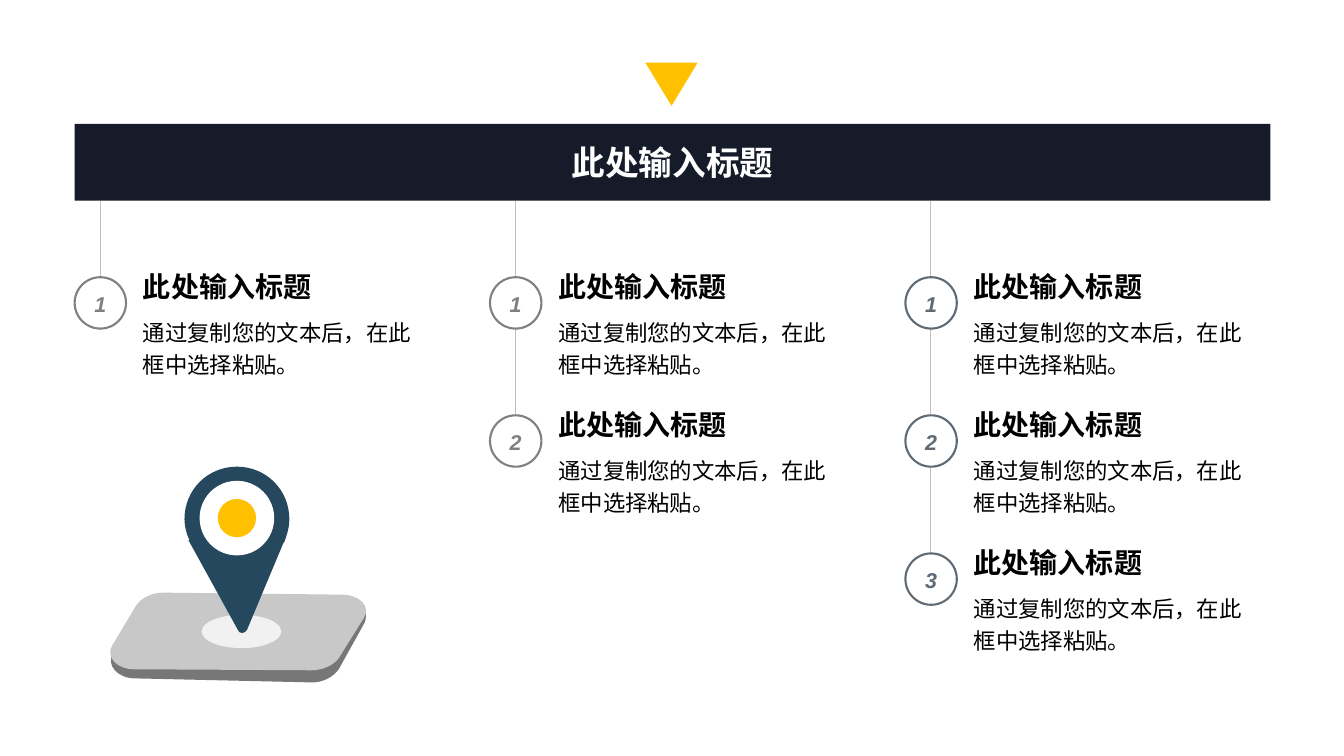
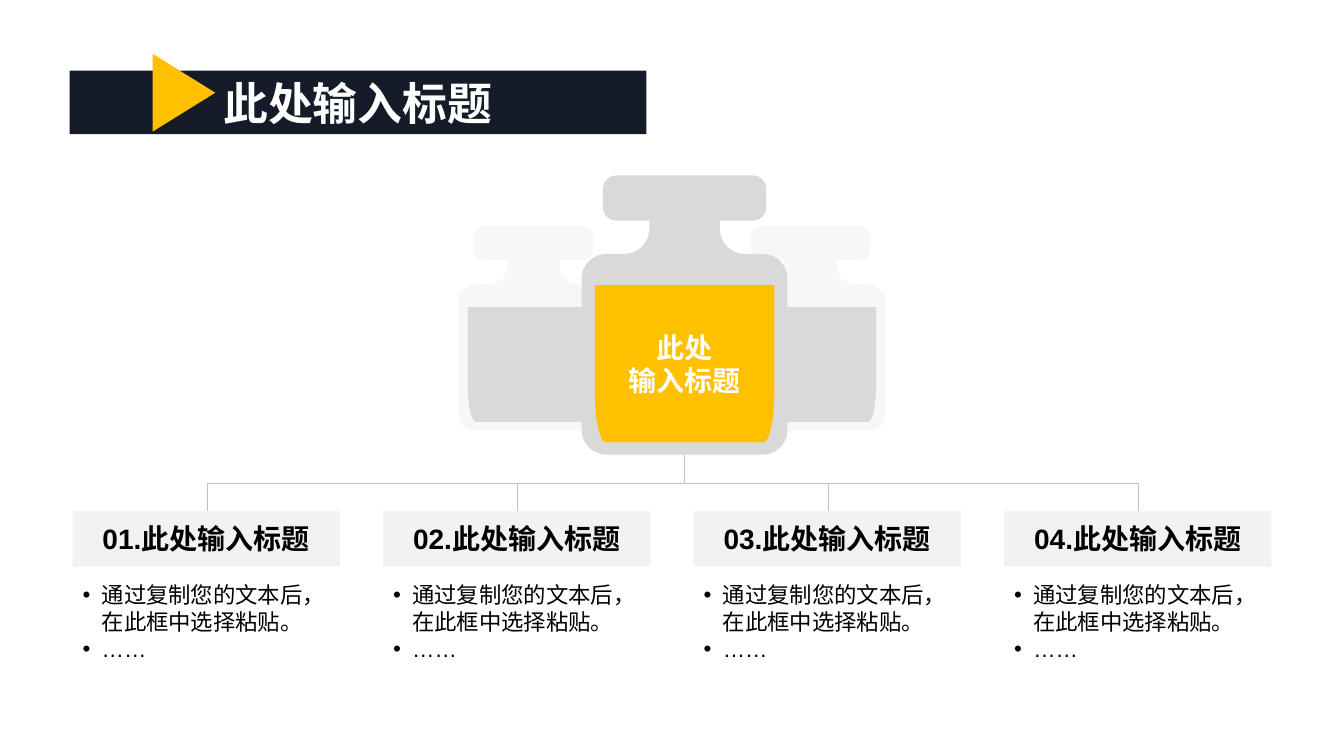
from dataclasses import dataclass
from lxml import etree
from pptx import Presentation
from pptx.dml.color import RGBColor
from pptx.enum.lang import MSO_LANGUAGE_ID
from pptx.enum.shapes import MSO_CONNECTOR, MSO_SHAPE
from pptx.enum.text import MSO_ANCHOR, MSO_AUTO_SIZE, PP_ALIGN
from pptx.oxml.ns import qn
from pptx.util import Inches, Pt

RECT, OVAL = MSO_SHAPE.RECTANGLE, MSO_SHAPE.OVAL
WEDGE = MSO_SHAPE.ISOSCELES_TRIANGLE
LINE, ELBOW = MSO_CONNECTOR.STRAIGHT, MSO_CONNECTOR.ELBOW
LEFT, CENTER = PP_ALIGN.LEFT, PP_ALIGN.CENTER
TOP, MIDDLE, BOTTOM = MSO_ANCHOR.TOP, MSO_ANCHOR.MIDDLE, MSO_ANCHOR.BOTTOM
CHINESE = MSO_LANGUAGE_ID.SIMPLIFIED_CHINESE
FIXED = MSO_AUTO_SIZE.NONE


@dataclass(frozen=True)
class Theme:
    font: str = "Arial"
    navy: str = "151B29"
    gold: str = "FFC000"
    white: str = "FFFFFF"
    black: str = "000000"
    rule: str = "BFBFBF"
    gray: str = "808080"
    slate: str = "606A74"
    pale: str = "F2F2F2"
    glass: str = "D9D9D9"
    edge: str = "777777"
    slab: str = "C8C8C8"
    spot: str = "F1F1F1"
    pin: str = "26485F"
    title: float = 32
    banner: float = 24
    head: float = 20
    body: float = 16
    badge: float = 15.3


T = Theme()
HEAD = "此处输入标题"
BODY = "通过复制您的文本后\uff0c在此框中选择粘贴。"

JAR = [(.68, 0), (.75, 0, .81, .06, .81, .13), (.81, .32),
       (.81, .39, .75, .45, .68, .45), (.35, .45), (.35, .53),
       (.35, .67, .46, .78, .6, .78), (.78, .78),
       (.91, .78, 1.02, .89, 1.02, 1.02), (1.02, 2.53),
       (1.02, 2.66, .91, 2.77, .78, 2.77)]
FLUID = [(.89, 1.09), (.89, 2.16), (.89, 2.43, .84, 2.65, .78, 2.65)]
EDGE = [(1.62, 5.89), (3.39, 5.93), (3.56, 5.93, 3.68, 6.06, 3.61, 6.19),
        (3.36, 6.64), (3.31, 6.71, 3.21, 6.77, 3.1, 6.77), (1.34, 6.73),
        (1.17, 6.73, 1.05, 6.6, 1.12, 6.48), (1.35, 6.03),
        (1.4, 5.95, 1.5, 5.89, 1.62, 5.89)]
SLAB = [(1.62, 5.88), (3.39, 5.9), (3.57, 5.9, 3.68, 6.02, 3.61, 6.13),
        (3.36, 6.53), (3.31, 6.6, 3.2, 6.65, 3.09, 6.65), (1.33, 6.64),
        (1.16, 6.64, 1.05, 6.52, 1.11, 6.41), (1.35, 6.01),
        (1.4, 5.93, 1.51, 5.88, 1.62, 5.88)]
PIN = [(2.84, 5.32), (2.86, 5.26, 2.87, 5.21, 2.87, 5.15),
       (2.87, 4.86, 2.64, 4.63, 2.35, 4.63),
       (2.06, 4.63, 1.83, 4.86, 1.83, 5.15),
       (1.83, 5.22, 1.85, 5.3, 1.88, 5.36), (1.87, 5.36), (2.36, 6.25),
       (2.37, 6.29, 2.43, 6.29, 2.45, 6.25), (2.81, 5.39),
       (2.81, 5.39, 2.81, 5.38, 2.82, 5.38),
       (2.82, 5.36, 2.84, 5.34, 2.84, 5.32)]


def write(shape, text, size=T.body, color=T.black, bold=False, italic=False,
          align=LEFT, anchor=TOP, space=None, bullet=False, inset=None):
    frame = shape.text_frame
    frame.word_wrap = True
    frame.auto_size = FIXED
    frame.vertical_anchor = anchor
    if inset is not None:
        frame.margin_left = frame.margin_right = Inches(inset)
        frame.margin_top = frame.margin_bottom = Inches(inset)
    for i, words in enumerate(text.split("\n")):
        para = frame.add_paragraph() if i else frame.paragraphs[0]
        para.alignment = align
        if space:
            para.line_spacing = space
        run = para.add_run()
        run.text = words
        font = run.font
        font.name, font.size = T.font, Pt(size)
        font.bold, font.italic = bold, italic
        font.color.rgb = RGBColor.from_string(color)
        font.language_id = CHINESE
        if bullet:
            props = para._p.get_or_add_pPr()
            props.set("marL", str(Inches(.19)))
            props.set("indent", str(-Inches(.19)))
            etree.SubElement(props, qn("a:buFont")).set("typeface", T.font)
            etree.SubElement(props, qn("a:buChar")).set("char", "•")


def paint(shape, fill, line=None, alpha=None):
    shape.fill.solid()
    shape.fill.fore_color.rgb = RGBColor.from_string(fill)
    if alpha:
        tint = shape.fill._xPr.find(".//" + qn("a:srgbClr"))
        etree.SubElement(tint, qn("a:alpha")).set("val", str(alpha * 1000))
    if line:
        shape.line.color.rgb = RGBColor.from_string(line)
        shape.line.width = Pt(1.5)
    else:
        shape.line.fill.background()


def block(slide, kind, box, fill, line=None, turn=0):
    shape = slide.shapes.add_shape(kind, *map(Inches, box))
    shape.shadow.inherit = False
    shape.rotation = turn
    paint(shape, fill, line)
    return shape


def label(slide, box, text, **style):
    write(slide.shapes.add_textbox(*map(Inches, box)), text, **style)


def banner(slide, box, size, anchor):
    title = slide.shapes.title
    title.left, title.top, title.width, title.height = map(Inches, box)
    paint(title, T.navy)
    write(title, HEAD, size=size, color=T.white, bold=True, align=CENTER,
          anchor=anchor)


def wire(slide, kind, start, end):
    link = slide.shapes.add_connector(kind, *map(Inches, start + end))
    link.line.color.rgb = RGBColor.from_string(T.rule)
    link.line.width = Pt(.25)
    etree.SubElement(link._element.spPr, qn("a:effectLst"))
    return link


def branch(slide, start, end):
    (x1, y1), (x2, y2) = start, end
    wide, high = abs(x2 - x1), y2 - y1
    midx, midy = (x1 + x2) / 2, (y1 + y2) / 2
    near, far = midx - high / 2, midx + high / 2
    turn = 90
    if x2 > x1:
        near, far, turn = far, near, 270
    link = wire(slide, ELBOW, (near, midy - wide / 2), (far, midy + wide / 2))
    link._element.spPr.find(qn("a:xfrm")).set("rot", str(turn * 60000))


def unpack(steps):
    points = [pair for step in steps for pair in zip(step[::2], step[1::2])]
    return points, [len(step) // 2 for step in steps[1:]]


def outline(slide, points, sizes, fill, alpha=None):
    spots = [(Inches(x), Inches(y)) for x, y in points]
    pen = slide.shapes.build_freeform(*spots[0], scale=1.0)
    pen.add_line_segments(spots[1:], close=True)
    shape = pen.convert_to_shape()
    legs = iter(shape._element.findall(".//" + qn("a:lnTo")))
    for size in sizes:
        group = [next(legs) for _ in range(size)]
        if size == 3:
            curve = etree.Element(qn("a:cubicBezTo"))
            group[0].addprevious(curve)
            for leg in group:
                curve.append(leg[0])
                leg.getparent().remove(leg)
    shape.shadow.inherit = False
    paint(shape, fill, alpha=alpha)
    return shape


def flask(slide, mid, top, scale, glass, fluid, alpha=None):
    for steps, fill, fade in ((JAR, glass, alpha), (FLUID, fluid, None)):
        half, sizes = unpack(steps)
        whole = half + [(-x, y) for x, y in reversed(half)]
        spots = [(mid + x * scale, top + y * scale) for x, y in whole]
        shape = outline(slide, spots, sizes + [1] + sizes[::-1], fill, fade)
    return shape


def step(slide, x, y, num, color):
    badge = block(slide, OVAL, (x, y, .51, .51), T.white, color)
    write(badge, str(num), size=T.badge, color=color, bold=True, italic=True,
          align=CENTER, anchor=MIDDLE, space=1.1, inset=0)
    label(slide, (x + .58, y - .13, 3.03, .44), HEAD, size=T.head, bold=True)
    label(slide, (x + .58, y + .31, 3.03, .61), BODY, space=1.2)


def marker(slide):
    outline(slide, *unpack(EDGE), T.edge)
    outline(slide, *unpack(SLAB), T.slab)
    block(slide, OVAL, (2, 6.1, .79, .33), T.spot)
    outline(slide, *unpack(PIN), T.pin)
    block(slide, OVAL, (1.98, 4.77, .74, .74), T.white)
    block(slide, OVAL, (2.16, 4.95, .38, .38), T.gold)


def steps(slide):
    banner(slide, (.74, 1.23, 11.86, .76), T.banner, MIDDLE)
    block(slide, WEDGE, (6.4, .62, .52, .43), T.gold, turn=180)
    for col, color in enumerate((T.gray, T.gray, T.slate)):
        x = .74 + 4.12 * col
        wire(slide, LINE, (x + .25, 3.25 + 1.37 * col), (x + .25, 1.99))
        for row in range(col + 1):
            step(slide, x, 2.75 + 1.37 * row, row + 1, color)
    marker(slide)


def flasks(slide):
    banner(slide, (.69, .7, 5.72, .63), T.title, BOTTOM)
    block(slide, WEDGE, (1.44, .61, .77, .62), T.gold, turn=90)
    for mid in (8.04, 5.29):
        flask(slide, mid, 2.25, .73, T.pale, T.glass, 60)
    front = flask(slide, 6.79, 1.74, 1, T.glass, T.gold)
    write(front, "此处\n输入标题", size=T.head, color=T.white, bold=True,
          align=CENTER, anchor=MIDDLE)
    for i in range(4):
        x = .72 + 3.08 * i
        card = block(slide, RECT, (x, 5.07, 2.65, .55), T.pale)
        write(card, f"{i + 1:02}.{HEAD}", size=T.head, bold=True,
              align=CENTER, anchor=MIDDLE)
        label(slide, (x, 5.72, 2.65, 1.16), BODY + "\n……", bullet=True)
        branch(slide, (6.79, 4.51), (x + 1.33, 5.07))


def main():
    deck = Presentation()
    deck.slide_width, deck.slide_height = Inches(13.33), Inches(7.5)
    for draw in (steps, flasks):
        draw(deck.slides.add_slide(deck.slide_layouts[5]))
    deck.save("out.pptx")


main()
